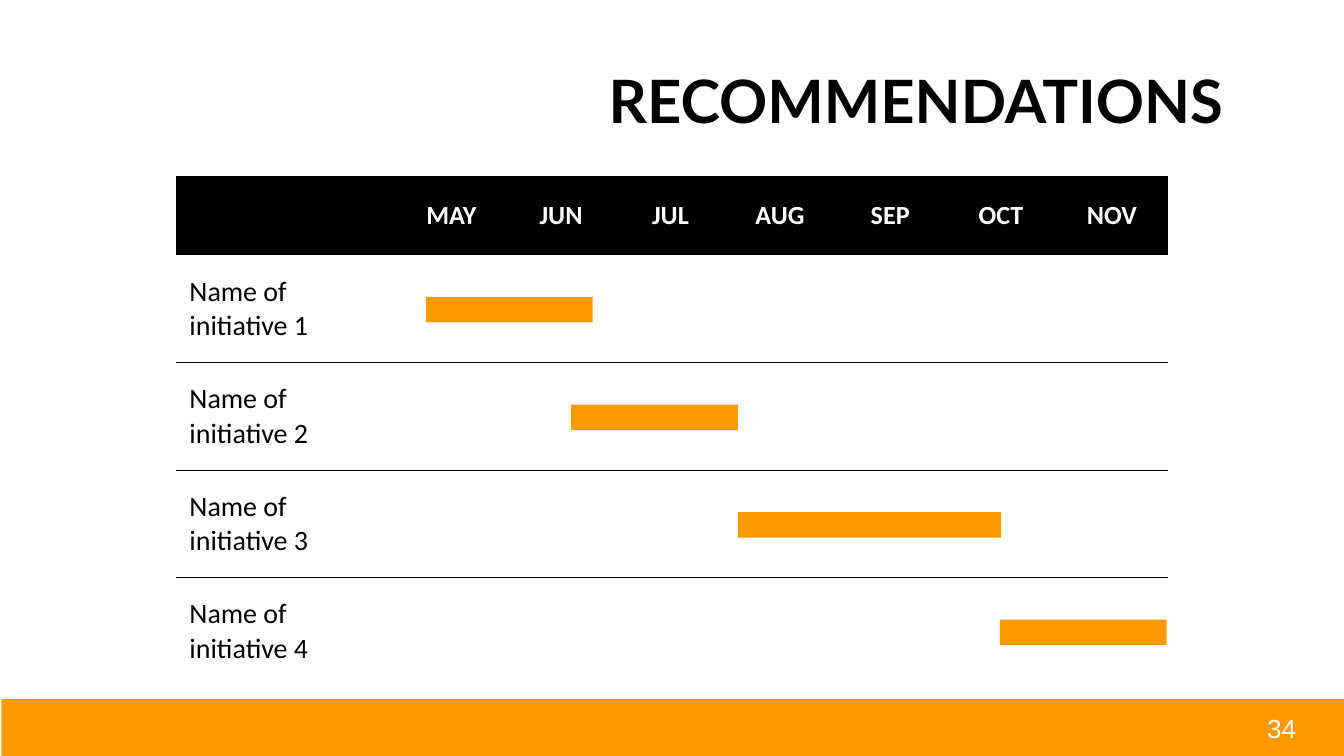
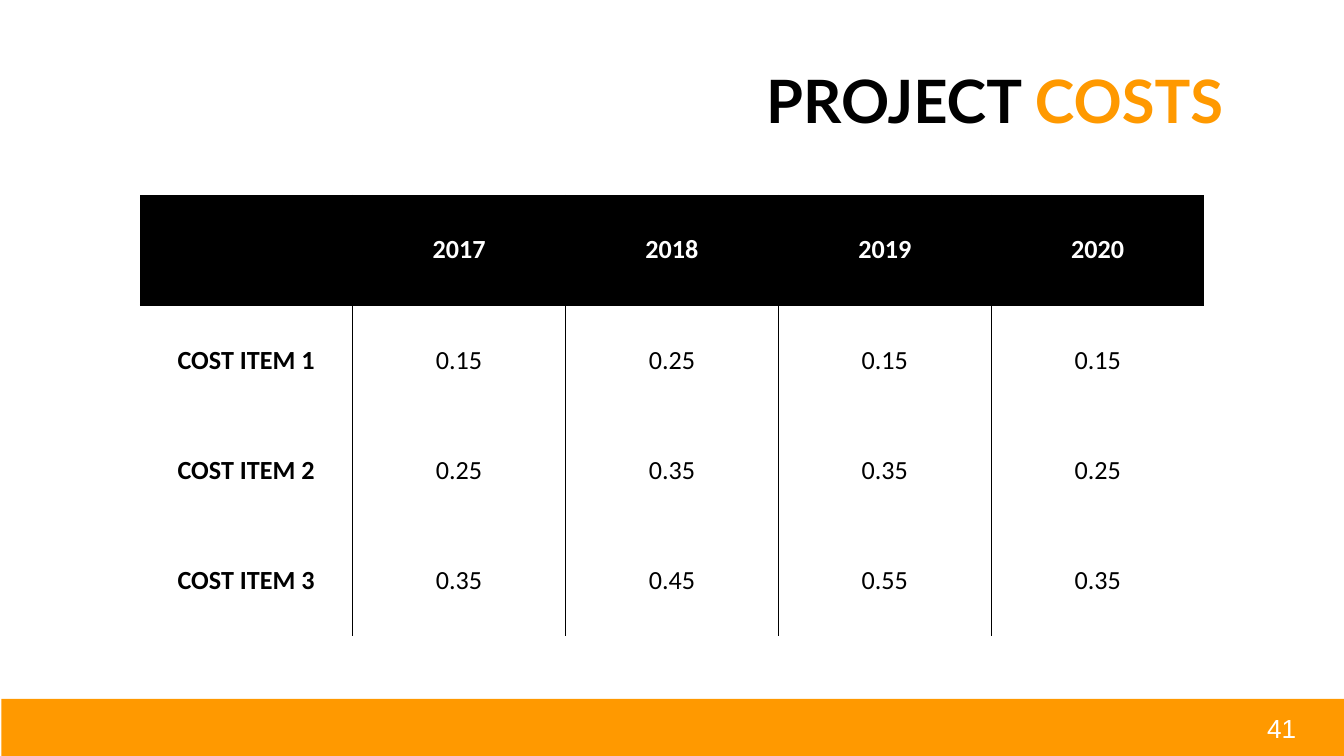
from dataclasses import dataclass

from lxml.etree import SubElement
from pptx import Presentation
from pptx.dml.color import RGBColor
from pptx.enum.shapes import MSO_SHAPE
from pptx.enum.text import MSO_ANCHOR, PP_ALIGN
from pptx.oxml.ns import qn
from pptx.util import Inches, Pt


@dataclass(frozen=True)
class Theme:
    black: RGBColor = RGBColor(0x00, 0x00, 0x00)
    white: RGBColor = RGBColor(0xFF, 0xFF, 0xFF)
    orange: RGBColor = RGBColor(0xFF, 0x99, 0x00)
    title_font: str = "Lato"
    table_font: str = "Calibri"
    page_font: str = "Arial"
    title_size: Pt = Pt(32)
    initiative_size: Pt = Pt(15)
    table_size: Pt = Pt(14)
    page_size: Pt = Pt(14)
    rule_width: Pt = Pt(0.75)


theme = Theme()
deck = Presentation()
deck.slide_width = Inches(10)
deck.slide_height = Inches(10 * 9 / 16)


def add_framed_slide(title_parts, page_number):
    """Add a slide with footer band, page number and a title of (text, colour) parts."""
    slide = deck.slides.add_slide(deck.slide_layouts[6])

    band = slide.shapes.add_shape(
        MSO_SHAPE.RECTANGLE, Inches(0.01), Inches(5.2), Inches(10), Inches(0.43))
    band.shadow.inherit = False
    band.fill.solid()
    band.fill.fore_color.rgb = theme.orange
    band.line.fill.background()

    page = slide.shapes.add_textbox(
        Inches(9.33), Inches(5.25), Inches(0.59), Inches(0.34)).text_frame
    page.text = str(page_number)
    page_font = page.paragraphs[0].font
    page_font.name, page_font.size = theme.page_font, theme.page_size
    page_font.color.rgb = theme.white

    title = slide.shapes.add_textbox(
        Inches(0.79), Inches(0.48), Inches(8.41), Inches(0.63)).text_frame
    title.word_wrap = True
    title.margin_top = title.margin_bottom = Inches(0.1)
    heading = title.paragraphs[0]
    heading.alignment = PP_ALIGN.RIGHT
    heading.line_spacing = 0.8
    heading.font.name, heading.font.size = theme.title_font, theme.title_size
    heading.font.bold = True
    for text, color in title_parts:
        part = heading.add_run()
        part.text = text
        part.font.color.rgb = color
    return slide


def add_ruled_table(slide, rows, left, top, widths, heights, ruled_edges, label_style):
    """Add a table with a black header.

    ruled_edges(row, column) gives the sides to rule, as letters of "LRTB".
    label_style holds size, boldness, alignment and fill of the first column.
    """
    table = slide.shapes.add_table(
        len(rows), len(widths), Inches(left), Inches(top),
        Inches(sum(widths)), Inches(sum(heights))).table
    table.first_row = table.horz_banding = False
    for column, width in zip(table.columns, widths):
        column.width = Inches(width)
    for table_row, height in zip(table.rows, heights):
        table_row.height = Inches(height)

    label_size, label_bold, label_alignment, label_fill = label_style
    for r, texts in enumerate(rows):
        for c, text in enumerate(texts):
            cell = table.cell(r, c)
            size, bold, alignment, fill = theme.table_size, False, PP_ALIGN.CENTER, None
            color = theme.black
            if r == 0:
                bold, fill, color = True, theme.black, theme.white
            elif c == 0:
                size, bold, alignment, fill = label_size, label_bold, label_alignment, label_fill

            cell.vertical_anchor = MSO_ANCHOR.MIDDLE
            cell.margin_left = cell.margin_right = Inches(0.1)
            cell.margin_top = cell.margin_bottom = Inches(0.1)
            cell.text = text
            paragraph = cell.text_frame.paragraphs[0]
            paragraph.alignment = alignment
            paragraph.font.name, paragraph.font.size = theme.table_font, size
            paragraph.font.bold = bold
            paragraph.font.color.rgb = color

            properties = cell._tc.get_or_add_tcPr()
            for side in "LRTB":
                edge = SubElement(properties, qn(f"a:ln{side}"), w=str(theme.rule_width))
                if side in ruled_edges(r, c):
                    ink = SubElement(edge, qn("a:solidFill"))
                    SubElement(ink, qn("a:srgbClr"), val=str(theme.black))
                else:
                    SubElement(edge, qn("a:noFill"))
            if fill is None:
                cell.fill.background()
            else:
                cell.fill.solid()
                cell.fill.fore_color.rgb = fill


# Recommendations: a timeline with one bar per initiative
recommendations = add_framed_slide([("RECOMMENDATIONS", theme.black)], 34)
months = ["MAY", "JUN", "JUL", "AUG", "SEP", "OCT", "NOV"]
timeline = [["", *months]]
timeline += [[f"Name of initiative {n}"] + [""] * len(months) for n in range(1, 5)]
row_height = 0.8
add_ruled_table(
    recommendations, timeline, 1.31, 1.31,
    [1.64, 0.82, 0.81, 0.82, 0.81, 0.83, 0.82, 0.83], [0.59] + [row_height] * 4,
    lambda r, c: ("T" if r > 1 else "") + ("B" if 0 < r < 4 else ""),
    (theme.initiative_size, False, PP_ALIGN.LEFT, theme.white))

initiative_spans = [(3.17, 1.24), (4.25, 1.24), (5.49, 1.96), (7.44, 1.24)]
for i, (start, length) in enumerate(initiative_spans):
    bar = recommendations.shapes.add_shape(
        MSO_SHAPE.RECTANGLE, Inches(start), Inches(2.21 + i * row_height),
        Inches(length), Inches(0.19))
    bar.shadow.inherit = False
    bar.fill.solid()
    bar.fill.fore_color.rgb = theme.orange
    bar.line.fill.background()

# Project costs: cost items by year
project_costs = add_framed_slide([("PROJECT ", theme.black), ("COSTS", theme.orange)], 41)
costs = [
    ["", "2017", "2018", "2019", "2020"],
    ["COST ITEM 1", "0.15", "0.25", "0.15", "0.15"],
    ["COST ITEM 2", "0.25", "0.35", "0.35", "0.25"],
    ["COST ITEM 3", "0.35", "0.45", "0.55", "0.35"],
]
add_ruled_table(
    project_costs, costs, 1.04, 1.45, [7.92 / 5] * 5, [0.82] * 4,
    lambda r, c: ("L" if c > 0 else "") + ("R" if c < 4 else "") + {0: "B", 1: "T"}.get(r, ""),
    (theme.table_size, True, PP_ALIGN.CENTER, None))

deck.save("out.pptx")
